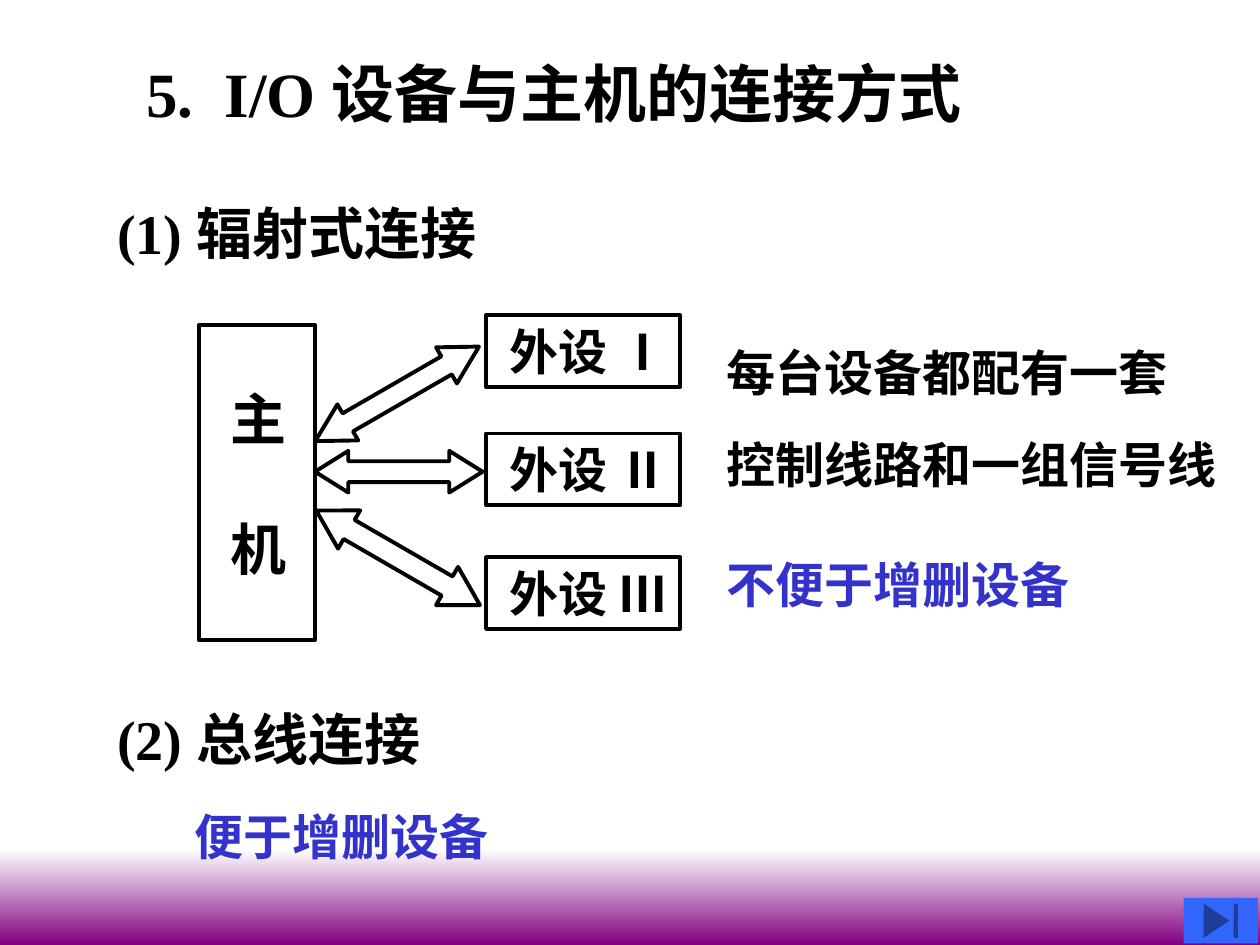
"""Build a slide on how I/O devices connect to the host."""
import pptx
import pptx.dml.color
import pptx.enum.shapes
import pptx.enum.text
import pptx.util

Cm = pptx.util.Cm
Pt = pptx.util.Pt
RGBColor = pptx.dml.color.RGBColor
MSO_SHAPE = pptx.enum.shapes.MSO_SHAPE

BLACK = RGBColor(0x00, 0x00, 0x00)
WHITE = RGBColor(0xFF, 0xFF, 0xFF)
PURPLE = RGBColor(0x80, 0x00, 0x80)
REMARK_BLUE = RGBColor(0x33, 0x33, 0xCC)
BUTTON_BLUE = RGBColor(0x33, 0x66, 0xFF)
FONT = "Times New Roman"


def write_text(shape, text, size=28, color=BLACK, wrap=True):
    """Put one bold, left-aligned paragraph into a shape."""
    frame = shape.text_frame
    frame.word_wrap = wrap
    frame.auto_size = pptx.enum.text.MSO_AUTO_SIZE.SHAPE_TO_FIT_TEXT
    frame.vertical_anchor = pptx.enum.text.MSO_ANCHOR.TOP
    paragraph = frame.paragraphs[0]
    paragraph.alignment = pptx.enum.text.PP_ALIGN.LEFT
    run = paragraph.add_run()
    run.text = text
    run.font.name = FONT
    run.font.size = Pt(size)
    run.font.bold = True
    run.font.color.rgb = color


def add_text(slide, text, left, top, width, height=1.45, **text_format):
    """Add a text box."""
    box = slide.shapes.add_textbox(Cm(left), Cm(top), Cm(width), Cm(height))
    write_text(box, text, **text_format)


def add_outline(slide, kind, left, top, width, height):
    """Add an unfilled shape with a black outline."""
    shape = slide.shapes.add_shape(kind, Cm(left), Cm(top), Cm(width), Cm(height))
    shape.shadow.inherit = False
    shape.fill.background()
    shape.line.color.rgb = BLACK
    shape.line.width = Pt(2.25)
    return shape


def add_arrow(slide, left, top, width, height, head, rotation=0):
    """Add a two-way block arrow."""
    arrow = add_outline(slide, MSO_SHAPE.LEFT_RIGHT_ARROW, left, top, width, height)
    arrow.adjustments[0] = 0.5
    arrow.adjustments[1] = head
    arrow.rotation = rotation


def add_title(slide, text):
    """Fill and place the title placeholder."""
    title = slide.shapes.title
    title.left, title.top = Cm(2.69), Cm(0.97)
    title.width, title.height = Cm(17.35), Cm(1.78)
    write_text(title, text, size=36)


def add_band(slide):
    """Add the fading band along the bottom edge."""
    band = slide.shapes.add_shape(MSO_SHAPE.RECTANGLE, 0, Cm(17.12), Cm(25.4), Cm(1.93))
    band.shadow.inherit = False
    band.line.fill.background()
    band.fill.gradient()
    band.fill.gradient_angle = 270
    for stop, position, color in zip(band.fill.gradient_stops, (0, 1), (WHITE, PURPLE)):
        stop.position = position
        stop.color.rgb = color


def add_end_button(slide):
    """Add the jump-to-end button in the corner."""
    button = slide.shapes.add_shape(
        MSO_SHAPE.ACTION_BUTTON_END, Cm(23.86), Cm(18.1), Cm(1.5), Cm(0.92))
    button.shadow.inherit = False
    button.fill.solid()
    button.fill.fore_color.rgb = BUTTON_BLUE
    button.line.fill.background()


def add_star_diagram(slide):
    """Draw the host linked separately to each peripheral."""
    for text, top in ((" 外设 Ⅰ", 6.35), (" 外设 Ⅱ", 8.74), (" 外设 Ⅲ", 11.23)):
        peripheral = add_outline(slide, MSO_SHAPE.RECTANGLE, 9.8, top, 3.91, 1.45)
        write_text(peripheral, text, wrap=False)
    add_arrow(slide, 6.35, 9.09, 3.38, 0.84, head=0.8)
    add_arrow(slide, 6.12, 10.8, 3.81, 0.89, head=0.86, rotation=30)
    for text, top in (("主", 7.62), ("机", 10.24)):
        add_text(slide, text, 4.4, top, 1.65, 1.63, size=32, wrap=False)
    add_outline(slide, MSO_SHAPE.RECTANGLE, 4.01, 6.55, 2.34, 6.35)
    add_arrow(slide, 6.1, 7.52, 3.81, 0.84, head=0.9, rotation=150)


def main():
    """Build and save the slide."""
    presentation = pptx.Presentation()
    presentation.slide_width, presentation.slide_height = Cm(25.4), Cm(19.05)
    slide = presentation.slides.add_slide(presentation.slide_layouts[5])
    add_band(slide)
    add_title(slide, "5.  I/O 设备与主机的连接方式")
    add_text(slide, "(1) 辐射式连接", 2.11, 3.87, 10.8, 1.63, size=32)
    add_text(slide, "(2) 总线连接", 2.11, 14.07, 9.96, 1.63, size=32)
    add_star_diagram(slide)
    add_text(slide, "不便于增删设备", 14.4, 11.05, 8.69, color=REMARK_BLUE)
    add_text(slide, "每台设备都配有一套", 14.4, 6.78, 9.6)
    add_text(slide, "控制线路和一组信号线", 14.4, 8.64, 10.6)
    add_text(slide, "便于增删设备", 3.68, 16.13, 16.71, color=REMARK_BLUE)
    add_end_button(slide)
    presentation.save("out.pptx")


if __name__ == "__main__":
    main()
